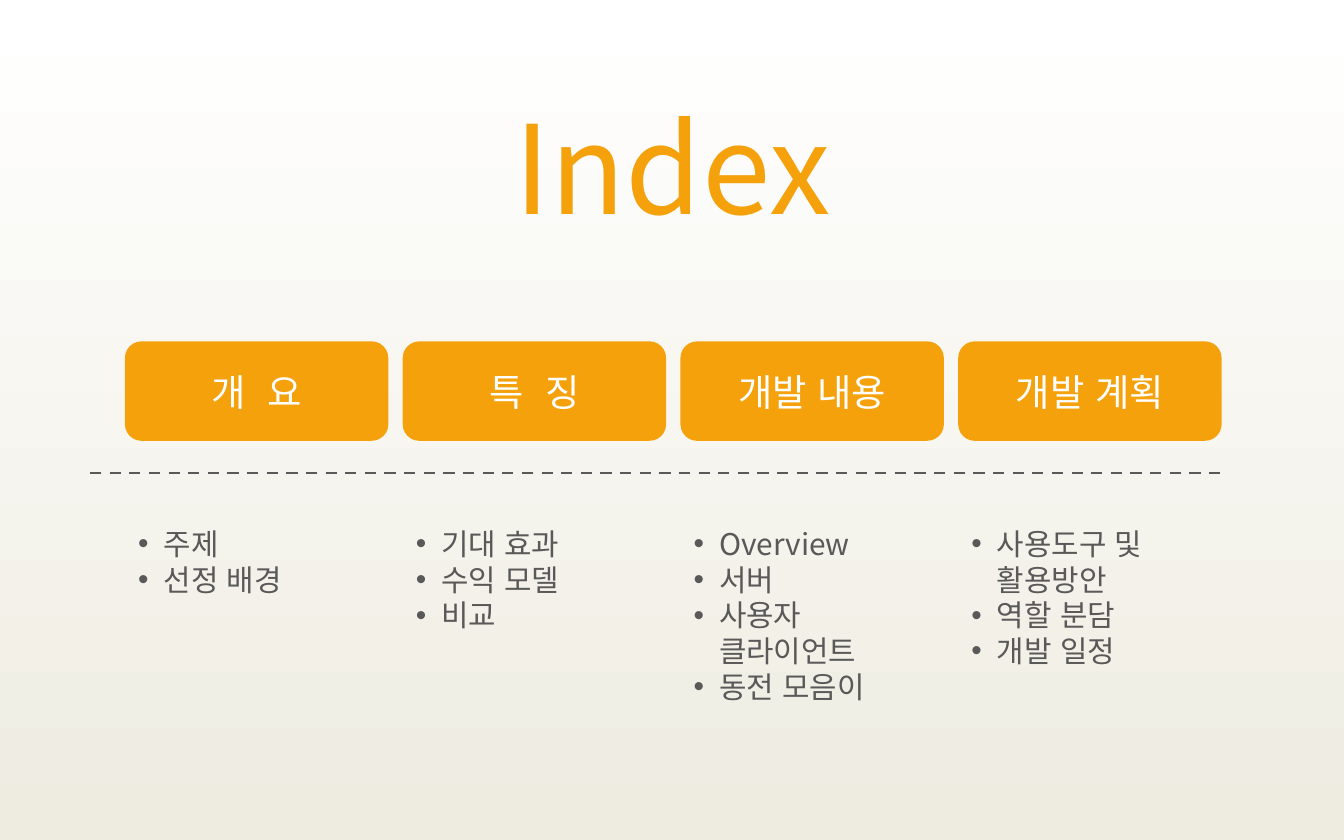
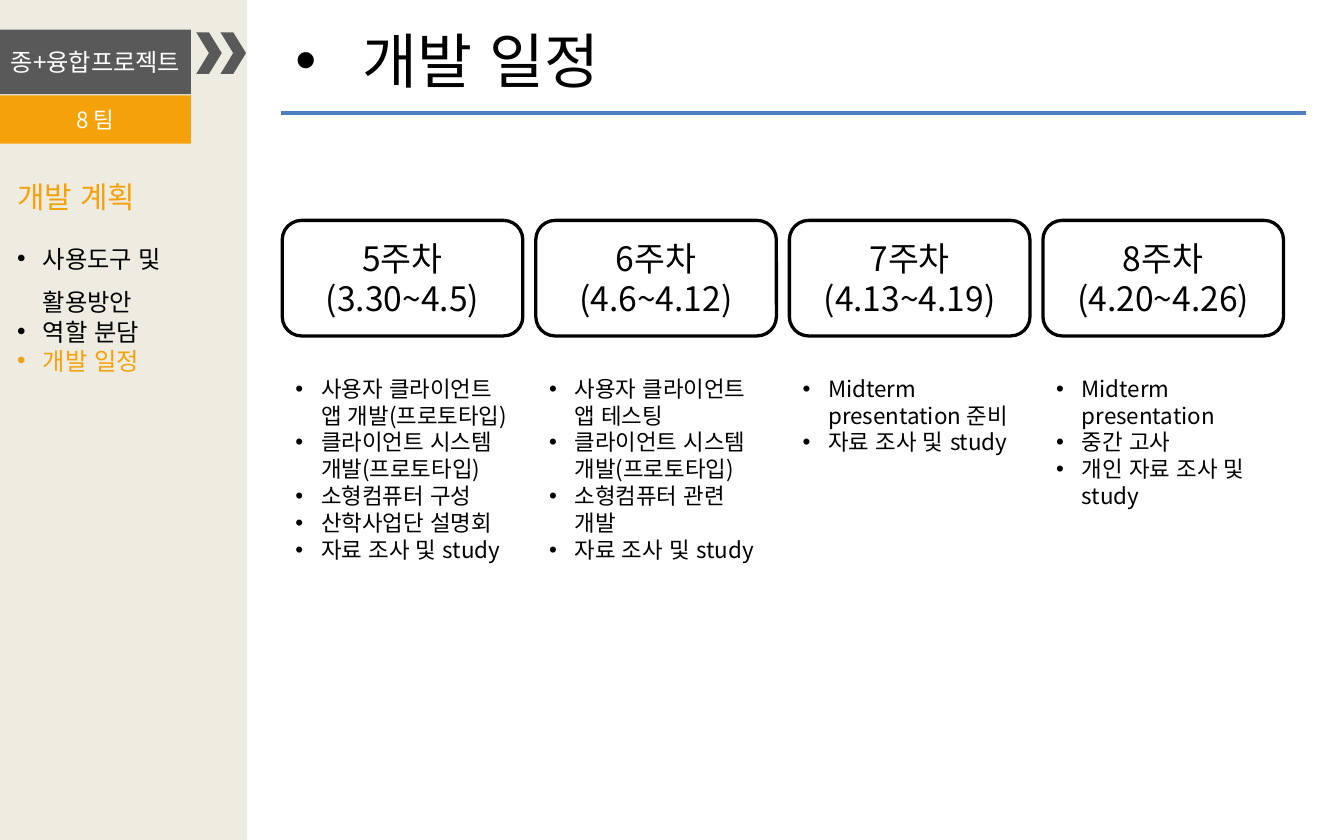
from dataclasses import dataclass

from lxml import etree
from pptx import Presentation
from pptx import util as u
from pptx.dml.color import RGBColor
from pptx.enum import dml, lang, shapes, text
from pptx.oxml.ns import qn


@dataclass(frozen=True)
class Theme:
    face: str = "Noto Sans CJK KR"
    gold: str = "F5A10B"
    gray: str = "595959"
    sand: str = "EEECE1"
    blue: str = "4B7EBC"
    white: str = "FFFFFF"
    black: str = "000000"
    cover: float = 66
    title: float = 32
    button: float = 20
    week: float = 18
    topic: float = 16
    band: float = 13
    side: float = 13
    small: float = 12


class Deck:
    """Draws styled elements on the current slide."""

    def __init__(self, theme):
        self.theme = theme
        self.file = Presentation()
        self.file.slide_width = u.Inches(10)
        self.file.slide_height = u.Inches(6.25)
        self.slide = None

    def page(self, top, base=None):
        self.slide = self.file.slides.add_slide(self.file.slide_layouts[6])
        fill = self.slide.background.fill
        if base is None:
            fill.solid()
            fill.fore_color.rgb = RGBColor.from_string(top)
            return
        fill.gradient()
        fill.gradient_angle = 270
        for stop, color in zip(fill.gradient_stops, (top, base)):
            stop.color.rgb = RGBColor.from_string(color)

    def style(self, para, size, color, space=0):
        for run in para.runs:
            run.font.size = u.Pt(size)
            run.font.color.rgb = RGBColor.from_string(color)
            run.font.name = self.theme.face
            run.font.language_id = lang.MSO_LANGUAGE_ID.KOREAN
            props = run.font._element
            etree.SubElement(props, qn("a:ea"), typeface=self.theme.face)
            if space:
                props.set("spc", str(space * 100))

    def bullet(self, para, indent):
        props = para._p.get_or_add_pPr()
        props.set("marL", str(u.Inches(indent)))
        props.set("indent", str(-u.Inches(indent)))
        etree.SubElement(props, qn("a:buFont"), typeface="Arial")
        etree.SubElement(props, qn("a:buChar"), char="•")

    def label(self, box, words, size, color, space=0):
        frame = box.text_frame
        frame.word_wrap = True
        frame.text = words
        for para in frame.paragraphs:
            para.alignment = text.PP_ALIGN.CENTER
            self.style(para, size, color, space)

    def shape(self, kind, area, fill=None, line=None, words="", size=0,
              color=None, space=0):
        box = self.slide.shapes.add_shape(kind, *map(u.Inches, area))
        box.shadow.inherit = False
        if fill:
            box.fill.solid()
            box.fill.fore_color.rgb = RGBColor.from_string(fill)
        else:
            box.fill.background()
        if line:
            box.line.color.rgb = RGBColor.from_string(line)
            box.line.width = u.Pt(1.75)
        else:
            box.line.fill.background()
        if words:
            frame = box.text_frame
            frame.vertical_anchor = text.MSO_ANCHOR.MIDDLE
            frame.margin_left = frame.margin_right = u.Inches(0.05)
            frame.margin_top = frame.margin_bottom = 0
            self.label(box, words, size, color, space)

    def box(self, area):
        box = self.slide.shapes.add_textbox(*map(u.Inches, area))
        box.text_frame.word_wrap = True
        box.text_frame.auto_size = text.MSO_AUTO_SIZE.SHAPE_TO_FIT_TEXT
        return box

    def list(self, area, items, size, color, indent=0.19):
        frame = self.box(area).text_frame
        frame.text = "\n".join(items)
        for para in frame.paragraphs:
            self.bullet(para, indent)
            self.style(para, size, color)

    def line(self, left, right, top, color, width, dash=None):
        rule = self.slide.shapes.add_connector(
            shapes.MSO_CONNECTOR.STRAIGHT,
            *map(u.Inches, (left, top, right, top)))
        rule.line.color.rgb = RGBColor.from_string(color)
        rule.line.width = u.Pt(width)
        rule.line.dash_style = dash
        etree.SubElement(rule._element.spPr, qn("a:effectLst"))


KIND = shapes.MSO_SHAPE

TOPICS = [
    ("개 요", 3, ["주제", "선정 배경"]),
    ("특 징", 3, ["기대 효과", "수익 모델", "비교"]),
    ("개발 내용", 0, ["Overview", "서버", "사용자 클라이언트", "동전 모음이"]),
    ("개발 계획", 0, ["사용도구 및 활용방안", "역할 분담", "개발 일정"]),
]
STUDY = "자료 조사 및 study"
SYSTEM = "클라이언트 시스템 개발(프로토타입)"
WEEKS = [
    ("5주차\n(3.30~4.5)", ["사용자 클라이언트 앱 개발(프로토타입)", SYSTEM,
                         "소형컴퓨터 구성", "산학사업단 설명회", STUDY]),
    ("6주차\n(4.6~4.12)", ["사용자 클라이언트 앱 테스팅", SYSTEM,
                         "소형컴퓨터 관련 개발", STUDY]),
    ("7주차\n(4.13~4.19)", ["Midterm presentation 준비", STUDY]),
    ("8주차\n(4.20~4.26)", ["Midterm presentation", "중간 고사",
                          "개인 " + STUDY]),
]


def spread(left, right, width, count):
    step = (right - left - width) / (count - 1)
    return [left + step * i for i in range(count)]


def index(deck):
    t = deck.theme
    deck.page(t.white, t.sand)
    deck.label(deck.box((3.39, 0.63, 3.23, 1.21)), "Index", t.cover, t.gold)
    deck.line(0.67, 9.09, 3.52, t.gray, 1.5, dml.MSO_LINE.DASH)
    wide = 1.96
    lefts = spread(0.93, 9.09, wide, len(TOPICS))
    for left, (name, space, items) in zip(lefts, TOPICS):
        deck.shape(KIND.ROUNDED_RECTANGLE, (left, 2.54, wide, 0.74), t.gold,
                   words=name, size=t.button, color=t.white, space=space)
        deck.list((left, 3.86, wide, 0.91), items, t.topic, t.gray)


def sidebar(deck, topic, items, current):
    t = deck.theme
    deck.shape(KIND.RECTANGLE, (0, 0, 1.84, 6.25), t.sand)
    for left in (1.46, 1.64):
        deck.shape(KIND.CHEVRON, (left, 0.24, 0.19, 0.31), t.gray)
    deck.shape(KIND.RECTANGLE, (0, 0.22, 1.42, 0.48), t.gray,
               words="종+융합프로젝트", size=t.band, color=t.white)
    deck.shape(KIND.RECTANGLE, (0, 0.71, 1.42, 0.36), t.gold,
               words="8 팀", size=t.small, color=t.white)
    frame = deck.box((0.03, 1.28, 1.81, 1.25)).text_frame
    frame.text = "\n".join([topic, *items])
    head, *rest = frame.paragraphs
    head.space_after = u.Pt(8)
    deck.style(head, t.topic, t.gold)
    rest[0].line_spacing = 1.5
    for para in rest:
        deck.bullet(para, 0.19)
        deck.style(para, t.side, t.gold if para.text == current else t.black)


def plan(deck):
    t = deck.theme
    deck.page(t.white)
    topic, _, items = TOPICS[-1]
    title = items[-1]
    sidebar(deck, topic, items, title)
    deck.list((2.1, 0.13, 7.47, 0.64), [title], t.title, t.black, 0.5)
    deck.line(2.09, 9.72, 0.84, t.blue, 2.25)
    wide = 1.79
    lefts = spread(2.1, 9.55, wide, len(WEEKS))
    for left, (week, tasks) in zip(lefts, WEEKS):
        deck.shape(KIND.ROUNDED_RECTANGLE, (left, 1.64, wide, 0.86),
                   line=t.black, words=week, size=t.week, color=t.black)
        deck.list((left, 2.74, wide, 1.5), tasks, t.small, t.black)


def main():
    deck = Deck(Theme())
    index(deck)
    plan(deck)
    deck.file.save("out.pptx")


if __name__ == "__main__":
    main()
